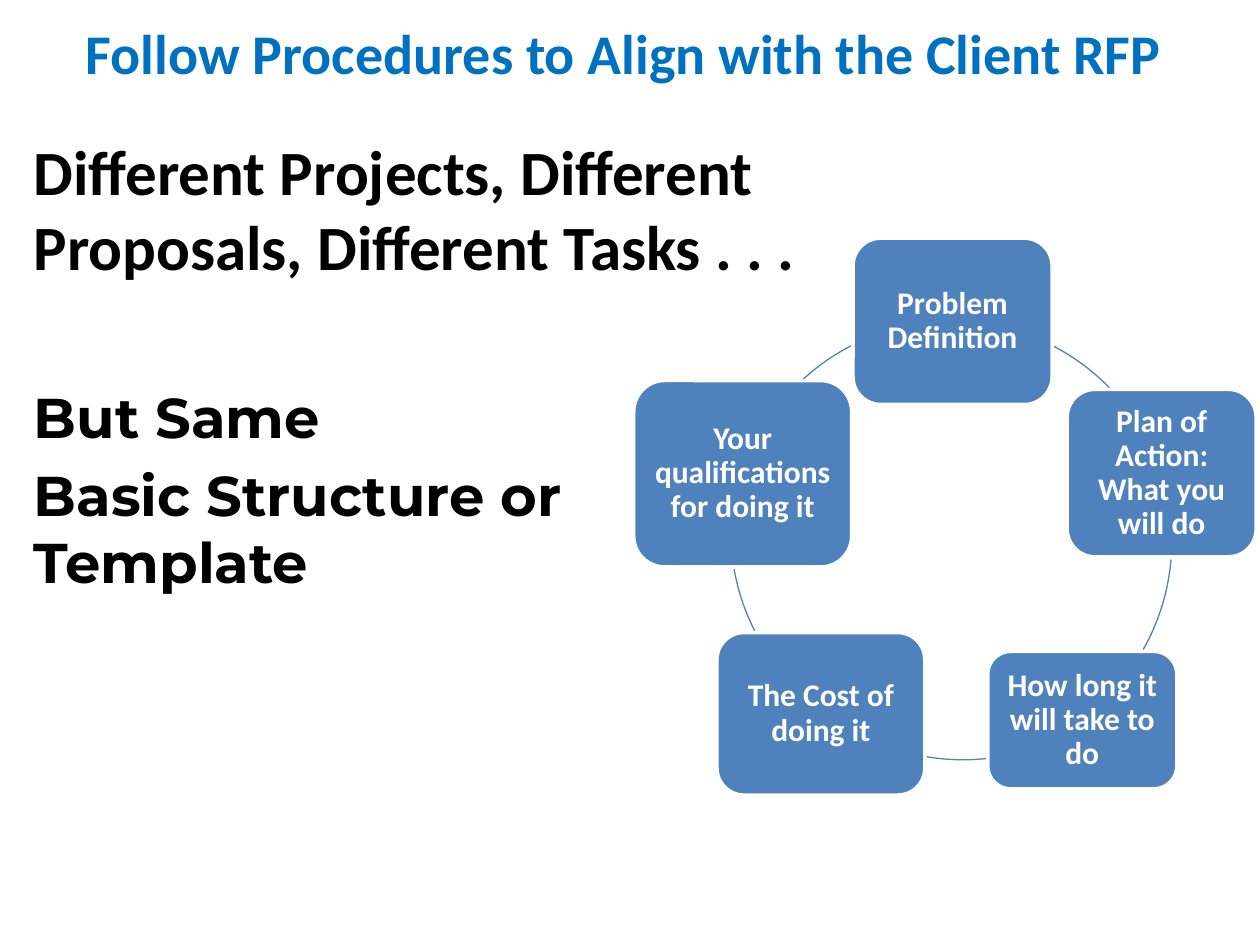
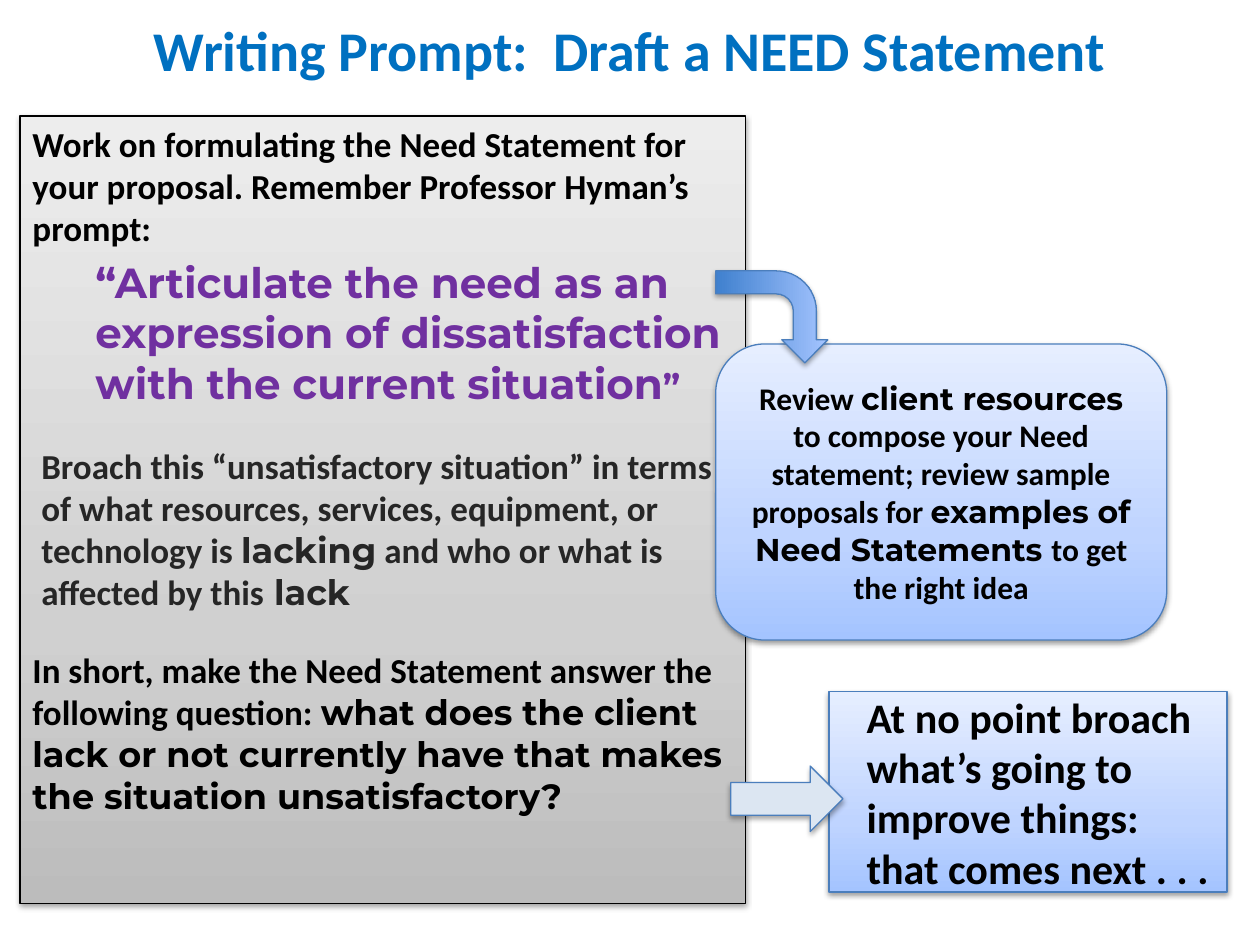
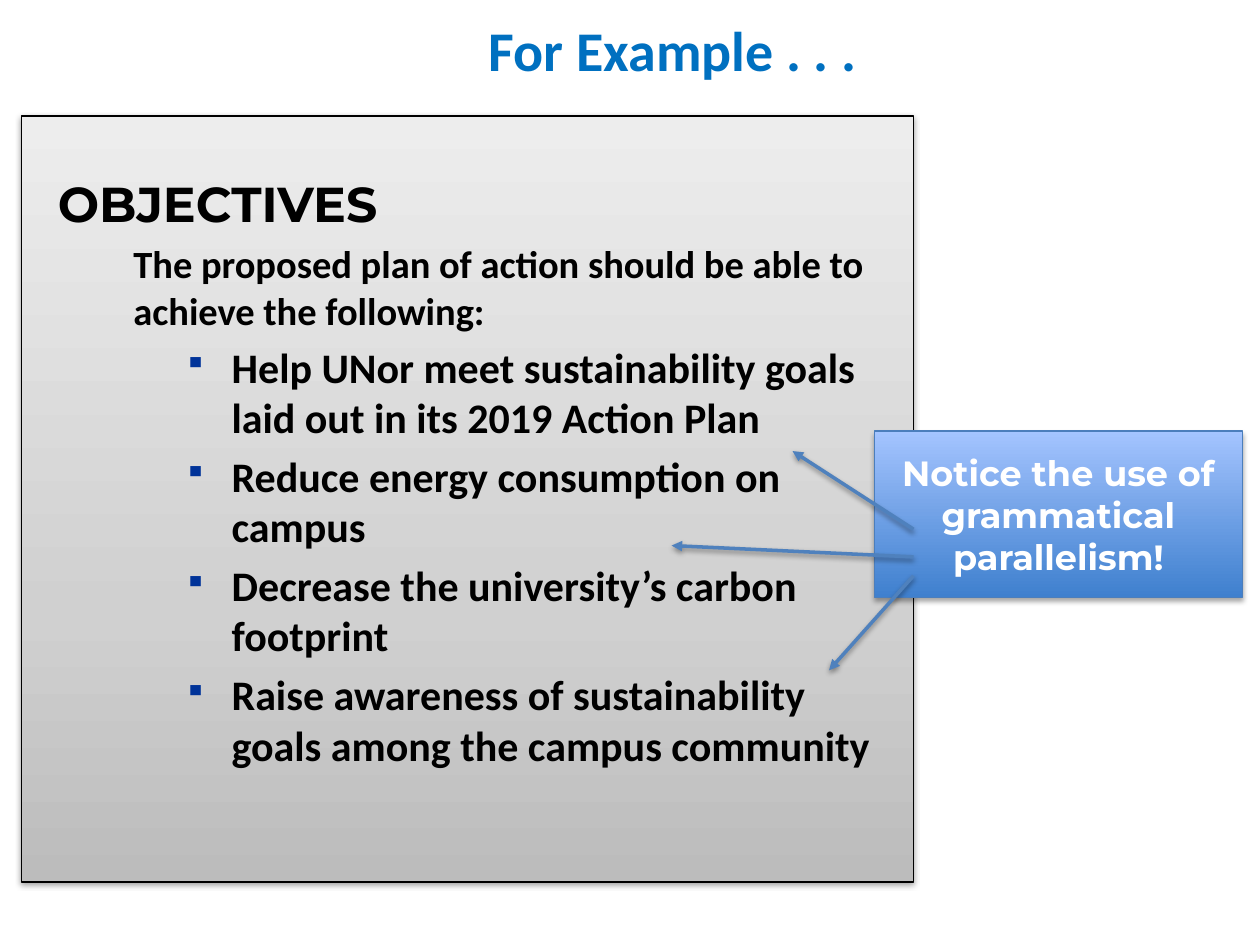
from dataclasses import dataclass

from lxml import etree
from pptx import Presentation
from pptx import util as u
from pptx.dml.color import RGBColor
from pptx.enum import shapes, text
from pptx.oxml.ns import qn

KIND = shapes.MSO_SHAPE
LEFT, MID = text.PP_ALIGN.LEFT, text.PP_ALIGN.CENTER
TOP, HALF = text.MSO_ANCHOR.TOP, text.MSO_ANCHOR.MIDDLE


@dataclass(frozen=True)
class Theme:
    sans: str = "Calibri"
    loud: str = "Montserrat"
    black: str = "000000"
    white: str = "FFFFFF"
    title: str = "0070C0"
    quote: str = "7030A0"
    soft: str = "262626"
    node: str = "4F81BD"
    edge: str = "4B7EBC"
    pale: str = "DCE6F2"
    dot: str = "003399"
    gray: tuple = ((0, "BCBCBC"), (35, "D0D0D0"), (100, "EDEDED"))
    light: tuple = ((0, "A4C4FF"), (35, "BFD4FF"), (100, "E6EEFF"))
    deep: tuple = ((0, "3F80CE"), (100, "A4C4FF"))
    head: int = 32
    huge: int = 36
    sub: int = 28
    large: int = 24
    lead: int = 22
    body: int = 20
    small: int = 18


T = Theme()


def para(runs, size, font=T.sans, color=T.black, **more):
    """Describe a paragraph; runs is a string or a list of (text, font, size)."""
    return dict(runs=runs, size=size, font=font, color=color, **more)


# Slide 1
STEPS = [
    para("Different Projects, Different Proposals, Different Tasks . . .", T.huge),
    para("But Same", T.head, T.loud, gap=56.5),
    para("Basic Structure or Template", T.head, T.loud, gap=6.4),
]
NODES = [
    ("Problem Definition", (6.77, 1.89, 1.58, 1.32)),
    ("Plan of Action: What you will do", (8.47, 3.09, 1.5, 1.33)),
    ("How long it will take to do", (7.84, 5.17, 1.5, 1.09)),
    ("The Cost of doing it", (5.69, 5.02, 1.65, 1.29)),
    ("Your qualifications for doing it", (5.03, 3.02, 1.73, 1.48)),
]
RING = 3.49
# left, top, start and end angle in degrees, clockwise from the right
ARCS = [
    (5.81, 2.55, 297.1, 316.4),
    (5.81, 2.55, 4.8, 29.6),
    (5.9, 2.54, 83.9, 100),
    (5.8, 2.47, 152.6, 170.6),
    (5.81, 2.55, 227.1, 243.2),
]

# Slide 2
NEED = [
    para("Work on formulating the Need Statement for your proposal. "
         "Remember Professor Hyman’s prompt:", T.body),
    para([("“Articulate the need as an expression of dissatisfaction "
           "with the current situation", T.loud, T.large),
          ("”", T.loud, T.body)],
         T.large, T.loud, T.quote, left=0.5, gap=4.8),
    para([("Broach this “unsatisfactory situation” in terms of what resources, "
           "services, equipment, or technology is ", T.sans, T.body),
          ("lacking", T.loud, T.body),
          (" and who or what is affected by this", T.sans, T.body),
          (" lack", T.loud, T.body)],
         T.body, color=T.soft, left=0.07, gap=20.8),
    para([("In short, make the Need Statement answer the following question: ",
           T.sans, T.body),
          ("what does the client lack or not currently have that makes "
           "the situation unsatisfactory?", T.loud, T.body)],
         T.body, gap=20.8),
]
LATER = [para("At no point broach what’s going to improve things: "
              "that comes next . . .", T.large, left=0.2)]
REVIEW = [para([("Review ", T.sans, T.small),
                ("client resources ", T.loud, T.small),
                ("to compose your Need statement; review sample proposals for ",
                 T.sans, T.small),
                ("examples of Need Statements ", T.loud, T.small),
                ("to get the right idea", T.sans, T.small)],
               T.small, align=MID)]

# Slide 3
GOALS = [
    "Help UNor meet sustainability goals laid out in its 2019 Action Plan",
    "Reduce energy consumption on campus",
    "Decrease the university’s carbon footprint",
    "Raise awareness of sustainability goals among the campus community",
]
AIMS = [
    para("OBJECTIVES", T.sub, T.loud, left=0.19),
    para("The proposed plan of action should be able to achieve the following:",
         T.lead, left=0.79, gap=4.4),
] + [para(goal, T.large, left=1.57, hang=-0.38, gap=4.8, mark="▪")
     for goal in GOALS]
NOTICE = [para("Notice the use of grammatical parallelism!", T.body, T.loud,
               T.white, align=MID)]
RAYS = [
    ((7.25, 4.57), (6.58, 5.32)),
    ((7.25, 4.42), (5.33, 4.33)),
    ((7.25, 4.2), (6.29, 3.58)),
]


def rgb(code):
    return RGBColor.from_string(code)


def sub(node, tag, **attrs):
    return etree.SubElement(node, qn(tag),
                            {key: str(val) for key, val in attrs.items()})


def tint(node, tag, code, **attrs):
    """Add an element that holds one colour; return the colour."""
    return sub(sub(node, tag, **attrs), "a:srgbClr", val=code)


def shade(props, alpha, dist):
    """Give shape properties a soft shadow below."""
    list_ = props.find(qn("a:effectLst"))
    if list_ is None:
        list_ = sub(props, "a:effectLst")
    color = tint(list_, "a:outerShdw", T.black, blurRad=u.Pt(3.1),
                 dist=u.Pt(dist), dir=5400000, rotWithShape=0)
    sub(color, "a:alpha", val=alpha * 1000)


def paint(shape, fill):
    """Fill with a colour, with gradient stops from the bottom up, or not."""
    if fill is None:
        shape.fill.background()
    elif isinstance(fill, str):
        shape.fill.solid()
        shape.fill.fore_color.rgb = rgb(fill)
    else:
        shape.fill.gradient()
        shape.fill.gradient_angle = 90
        stops = shape._element.spPr.find(qn("a:gradFill")).find(qn("a:gsLst"))
        stops.clear()
        for pos, code in fill:
            tint(stops, "a:gs", code, pos=pos * 1000)


def mark(props, char):
    """Put a bullet before the default run properties."""
    last = props.find(qn("a:defRPr"))
    color = etree.Element(qn("a:buClr"))
    sub(color, "a:srgbClr", val=T.dot)
    for part in (color, etree.Element(qn("a:buSzPct"), val="75000"),
                 etree.Element(qn("a:buChar"), char=char)):
        last.addprevious(part)


def style(font, name, size, color):
    font.name, font.size = name, u.Pt(size)
    font.bold, font.color.rgb = True, rgb(color)


def write(shape, paras, anchor=HALF, inset=None, top=None):
    frame = shape.text_frame
    frame.word_wrap = True
    frame.vertical_anchor = anchor
    if inset is not None:
        frame.margin_left = frame.margin_right = u.Inches(inset)
        frame.margin_top = frame.margin_bottom = u.Inches(inset)
    if top is not None:
        frame.margin_top = u.Inches(top)
    for i, item in enumerate(paras):
        p = frame.add_paragraph() if i else frame.paragraphs[0]
        p.alignment = item.get("align", LEFT)
        p.space_before = u.Pt(item.get("gap", 0))
        p.line_spacing = item.get("lines", 1.0)
        base = item["font"], item["size"]
        style(p.font, *base, item["color"])
        props = p._p.get_or_add_pPr()
        props.set("marL", str(u.Inches(item.get("left", 0))))
        props.set("indent", str(u.Inches(item.get("hang", 0))))
        if "mark" in item:
            mark(props, item["mark"])
        runs = item["runs"]
        if isinstance(runs, str):
            runs = [(runs, *base)]
        for words, name, size in runs:
            run = p.add_run()
            run.text = words
            style(run.font, name, size, item["color"])


def draw(slide, kind, at, fill=None, edge=T.edge, width=0.75, shadow=None):
    """Add a preset shape; shadow is (alpha percent, distance)."""
    shape = slide.shapes.add_shape(kind, *map(u.Inches, at))
    paint(shape, fill)
    shape.line.color.rgb = rgb(edge)
    shape.line.width = u.Pt(width)
    shape.shadow.inherit = False
    if shadow:
        shade(shape._element.spPr, *shadow)
    return shape


SOFT, FIRM = (38, 1.6), (35, 1.8)


def label(slide, at, paras, **more):
    box = slide.shapes.add_textbox(*map(u.Inches, at))
    write(box, paras, **more)


def start(deck, title, height=0.78, left=0):
    """Add a blank slide with its title."""
    slide = deck.slides.add_slide(deck.slide_layouts[6])
    label(slide, (0, 0, 10, height),
          [para(title, T.head, color=T.title, align=MID, left=left)])
    return slide


def panel(slide, at, paras, top=0.05):
    box = draw(slide, KIND.RECTANGLE, at, T.gray, T.black, shadow=SOFT)
    write(box, paras, TOP, top=top)


def ray(slide, a, b):
    line = slide.shapes.add_connector(shapes.MSO_CONNECTOR.STRAIGHT,
                                      *map(u.Inches, a + b))
    line.line.color.rgb = rgb(T.node)
    line.line.width = u.Pt(2)
    props = line._element.spPr
    sub(props.find(qn("a:ln")), "a:tailEnd", type="triangle")
    shade(props, *SOFT)


def cycle(deck):
    slide = start(deck, "Follow Procedures to Align with the Client RFP ", 0.83)
    label(slide, (0.17, 1, 6.33, 5.57), STEPS, anchor=TOP)
    for left, top, begin, end in ARCS:
        arc = draw(slide, KIND.ARC, (left, top, RING, RING), edge=T.node)
        # one degree is 60000 units, one adjustment step 100000
        arc.adjustments[0], arc.adjustments[1] = begin * 0.6, end * 0.6
    for words, at in NODES:
        node = draw(slide, KIND.ROUNDED_RECTANGLE, at, T.node, T.white, 2)
        write(node, [para(words, T.small, color=T.white, align=MID, lines=0.9)],
              inset=0.07)


def prompt(deck):
    slide = start(deck, "Writing Prompt:  Draft a NEED Statement")
    panel(slide, (0.16, 0.92, 5.76, 6.25), NEED)
    for kind, at, paras in (
            (KIND.RECTANGLE, (6.58, 5.49, 3.16, 1.59), LATER),
            (KIND.ROUNDED_RECTANGLE, (5.68, 2.73, 3.58, 2.35), REVIEW)):
        write(draw(slide, kind, at, T.light, shadow=SOFT), paras)
    bent = draw(slide, KIND.BENT_ARROW, (5.76, 2.07, 0.73, 0.89), T.deep,
                shadow=FIRM)
    bent.rotation = 90
    draw(slide, KIND.RIGHT_ARROW, (5.8, 6.08, 0.89, 0.52), T.pale, shadow=FIRM)


def example(deck):
    slide = start(deck, "For Example . . .", left=0.68)
    panel(slide, (0.17, 0.92, 7.08, 6.08), AIMS, top=0.46)
    box = draw(slide, KIND.RECTANGLE, (6.94, 3.42, 2.92, 1.32), T.deep,
               shadow=FIRM)
    write(box, NOTICE)
    for a, b in RAYS:
        ray(slide, a, b)


def main():
    deck = Presentation()
    deck.slide_width, deck.slide_height = u.Inches(10), u.Inches(7.5)
    for build in (cycle, prompt, example):
        build(deck)
    deck.save("out.pptx")


if __name__ == "__main__":
    main()
